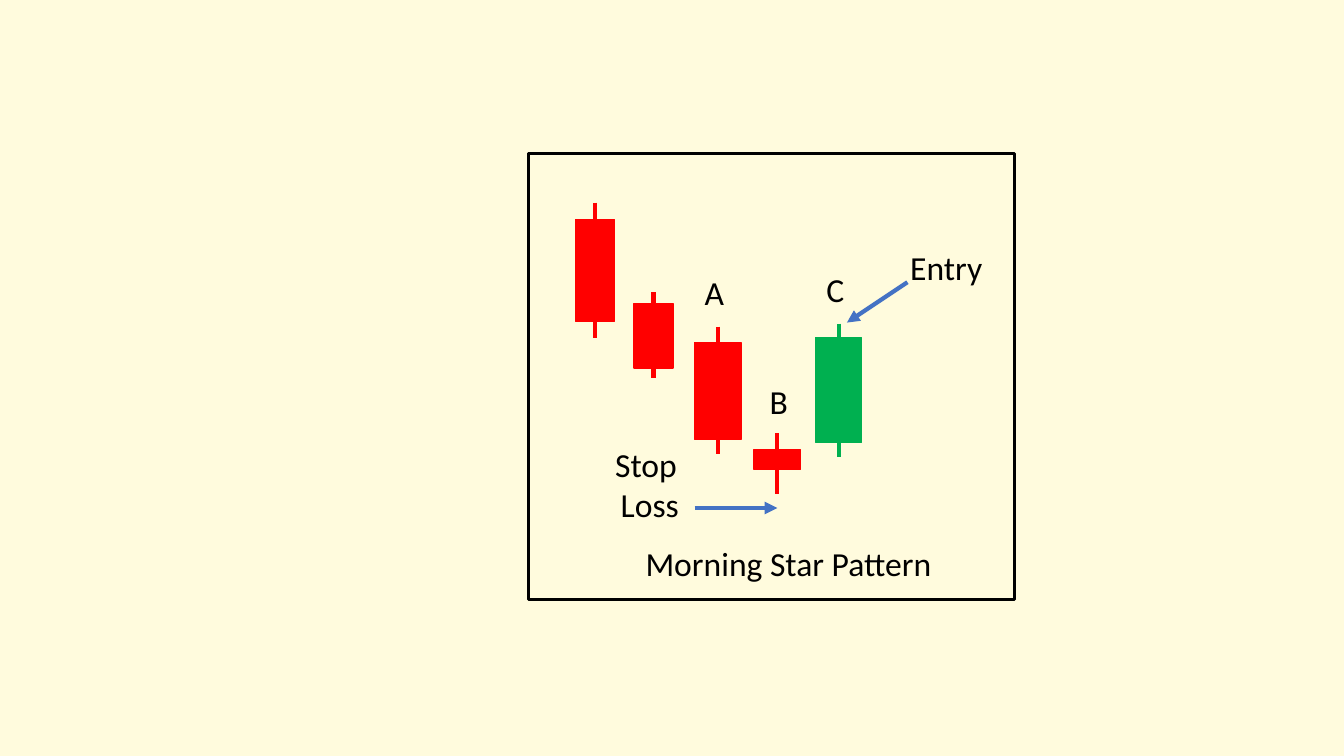
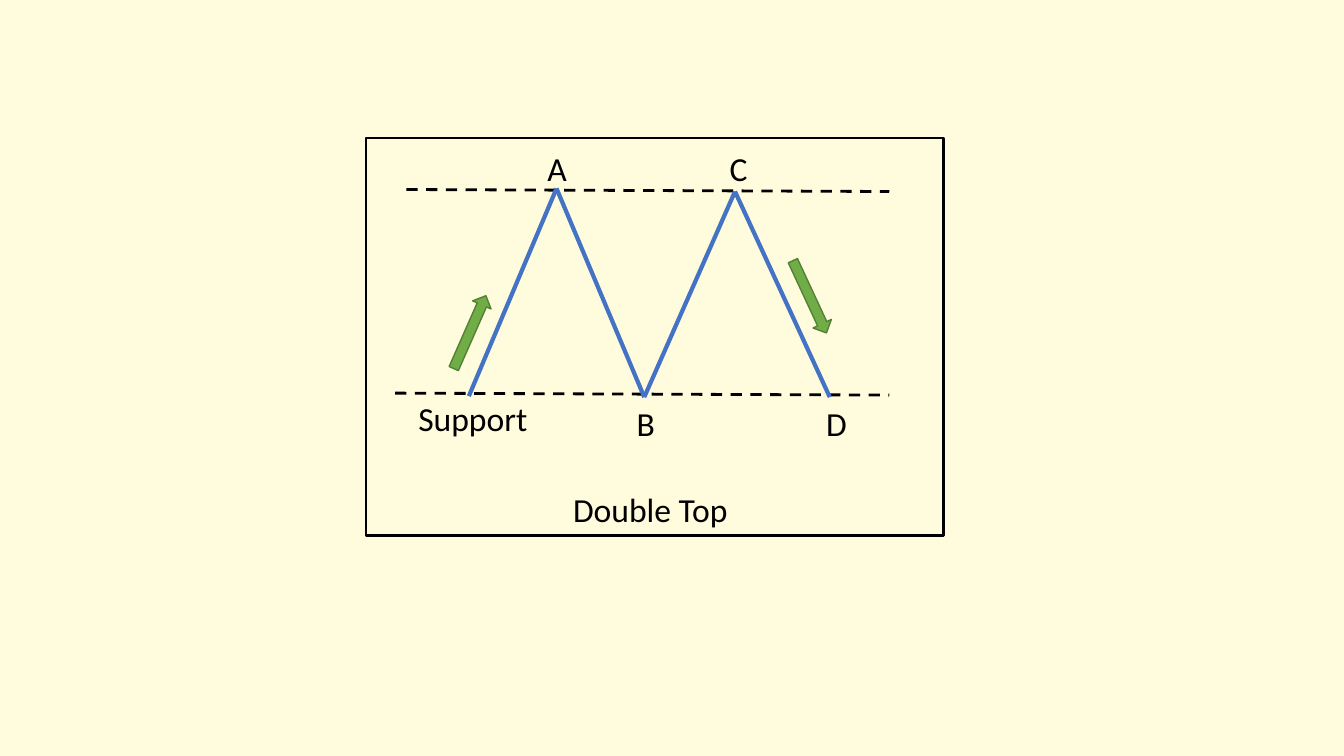
from dataclasses import dataclass

from lxml import etree
from pptx import Presentation
from pptx.dml.color import RGBColor
from pptx.enum.dml import MSO_LINE
from pptx.enum.shapes import MSO_CONNECTOR, MSO_SHAPE
from pptx.enum.text import MSO_ANCHOR, PP_ALIGN
from pptx.oxml.ns import qn
from pptx.util import Inches, Pt

RECTANGLE = MSO_SHAPE.RECTANGLE
UP_ARROW = MSO_SHAPE.UP_ARROW
STRAIGHT = MSO_CONNECTOR.STRAIGHT
DASH = MSO_LINE.DASH
CENTER = PP_ALIGN.CENTER
TOP = MSO_ANCHOR.TOP

SLIDE_WIDTH, SLIDE_HEIGHT = Inches(13.33), Inches(7.5)
CELL = Inches(0.1)
CREAM, BLACK, BLUE = "FFFBDD", "000000", "4472C4"
BEAR, BULL = "FF0000", "00B050"
TREND, TREND_EDGE = "70AD47", "538035"
FONT, TEXT_SIZE, LABEL_HEIGHT = "Calibri", 24, 5


@dataclass
class Panel:
    """A framed region measured in grid cells."""
    left: float
    top: float
    width: float
    height: float

    def x(self, columns):
        """Turn a column inside the panel into a slide position."""
        return round((self.left + columns) * CELL)

    def y(self, rows):
        """Turn a row inside the panel into a slide position."""
        return round((self.top + rows) * CELL)

    def box(self, left, top, width, height):
        """Turn a box inside the panel into slide lengths."""
        return self.x(left), self.y(top), round(width * CELL), round(height * CELL)


def color(hex_value):
    """Return the colour for a hex string."""
    return RGBColor.from_string(hex_value)


def add_block(shapes, panel, box, kind=RECTANGLE, fill=None, edge=BLACK, weight=1, rotation=0):
    """Draw a preset shape inside the panel."""
    block = shapes.add_shape(kind, *panel.box(*box))
    block.shadow.inherit = False
    block.rotation = rotation
    if fill:
        block.fill.solid()
        block.fill.fore_color.rgb = color(fill)
    else:
        block.fill.background()
    block.line.color.rgb = color(edge)
    block.line.width = Pt(weight)


def add_line(shapes, panel, start, end, stroke=BLUE, weight=3, dash=None, arrow=False):
    """Draw a straight line between two points of the panel."""
    line = shapes.add_connector(STRAIGHT, panel.x(start[0]), panel.y(start[1]),
                                panel.x(end[0]), panel.y(end[1]))
    line.line.color.rgb = color(stroke)
    line.line.width = Pt(weight)
    if dash:
        line.line.dash_style = dash
    properties = line._element.spPr
    if arrow:
        etree.SubElement(properties.find(qn("a:ln")), qn("a:tailEnd"), type="triangle")
    etree.SubElement(properties, qn("a:effectLst"))


def add_text(shapes, panel, text, left, top, width, height=LABEL_HEIGHT, size=TEXT_SIZE, ink=BLACK):
    """Write centred text inside the panel, one paragraph a line."""
    frame = shapes.add_textbox(*panel.box(left, top, width, height)).text_frame
    frame.word_wrap = True
    frame.vertical_anchor = TOP
    frame.text = text
    for paragraph in frame.paragraphs:
        paragraph.alignment = CENTER
        paragraph.font.name = FONT
        paragraph.font.size = Pt(size)
        paragraph.font.color.rgb = color(ink)


def add_candle(shapes, panel, center, high, low, body_top, body_height, body_width, tint):
    """Group a candle body with its wick."""
    candle = shapes.add_group_shape().shapes
    body = (center - body_width / 2, body_top, body_width, body_height)
    add_block(candle, panel, body, fill=tint, edge=tint)
    add_line(candle, panel, (center, high), (center, low), stroke=tint)


def add_pattern_slide(deck, panel):
    """Add a cream slide with the panel frame and return its shapes."""
    slide = deck.slides.add_slide(deck.slide_layouts[6])
    slide.background.fill.solid()
    slide.background.fill.fore_color.rgb = color(CREAM)
    add_block(slide.shapes, panel, (0, 0, panel.width, panel.height), weight=2)
    return slide.shapes


def morning_star(deck, panel):
    """Draw the morning star candles with entry and stop loss."""
    shapes = add_pattern_slide(deck, panel)
    candles = [
        (6.62, 4.9, 18.3, 6.6, 10.1, 3.9, BEAR),
        (12.42, 13.8, 22.3, 14.9, 6.4, 3.9, BEAR),
        (18.8, 17.2, 29.8, 18.8, 9.6, 4.6, BEAR),
        (24.7, 27.8, 33.8, 29.4, 2, 4.6, BEAR),
        (30.78, 16.9, 30.1, 18.3, 10.4, 4.6, BULL),
    ]
    for candle in candles:
        add_candle(shapes, panel, *candle)
    for start, end in [((16.5, 35.2), (24.7, 35.2)), ((37.6, 12.8), (31.6, 16.8))]:
        add_line(shapes, panel, start, end, arrow=True)
    for letter, left, top in [("A", 15.3, 11.3), ("B", 21.7, 22.1), ("C", 27.3, 11)]:
        add_text(shapes, panel, letter, left, top, 6.3)
    add_text(shapes, panel, "Entry", 30.6, 8.8, 21.7)
    add_text(shapes, panel, "Stop \nLoss", 1.2, 28.3, 21.7, height=9.1)
    add_text(shapes, panel, "Morning Star Pattern", 7.8, 38.2, 36)


def double_top(deck, panel):
    """Draw the double top price path between its two levels."""
    shapes = add_pattern_slide(deck, panel)
    levels = [((2.9, 25.3), (51.9, 25.5)), ((4, 5.1), (51.9, 5.3))]
    for start, end in levels:
        add_line(shapes, panel, start, end, stroke=BLACK, weight=2, dash=DASH)
    price_path = [(10.2, 25.6), (18.9, 5), (27.6, 25.7), (36.6, 5.3), (46, 25.7)]
    for start, end in zip(price_path, price_path[1:]):
        add_line(shapes, panel, start, end)
    for left, top, rotation in [(9.3, 15.3, 23.8), (43, 11.8, 155.1)]:
        add_block(shapes, panel, (left, top, 2, 7.9), kind=UP_ARROW,
                  fill=TREND, edge=TREND_EDGE, rotation=rotation)
    for letter, left, top in [("A", 16.2, 0.5), ("B", 25, 25.8),
                              ("C", 34.2, 0.5), ("D", 43.9, 25.8)]:
        add_text(shapes, panel, letter, left, top, 5.5, height=4.4)
    add_text(shapes, panel, "Support", 1.8, 25.3, 17.6)
    add_text(shapes, panel, "Double Top", 18.9, 34.3, 18.6)


def main():
    """Build and save the deck."""
    deck = Presentation()
    deck.slide_width, deck.slide_height = SLIDE_WIDTH, SLIDE_HEIGHT
    morning_star(deck, Panel(52.4, 15.2, 48.2, 44.3))
    double_top(deck, Panel(36.3, 13.7, 57.3, 39.4))
    deck.save("out.pptx")


if __name__ == "__main__":
    main()
